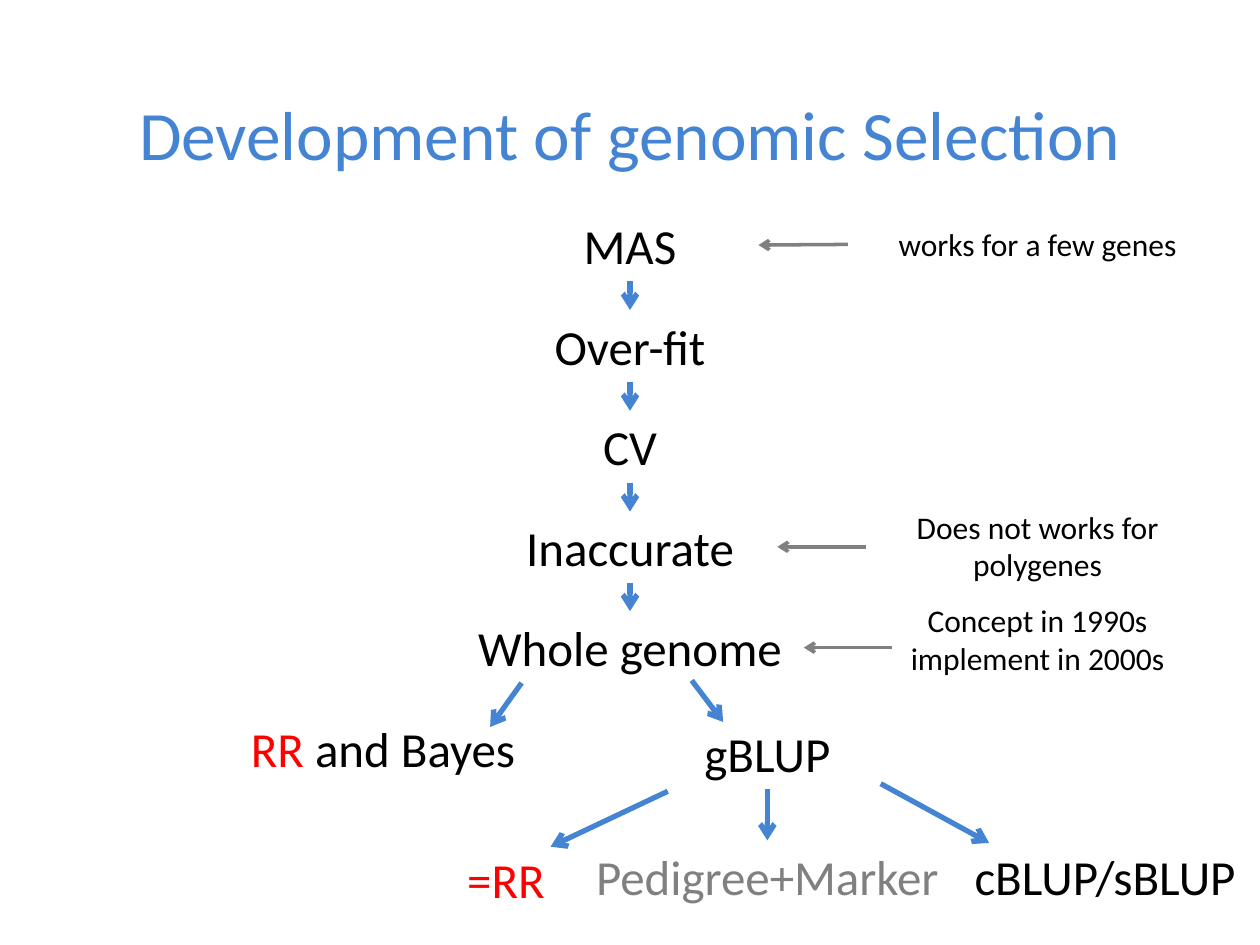
from typing import NamedTuple

from lxml.etree import SubElement
from pptx import Presentation
from pptx.dml.color import RGBColor as RGB
from pptx.enum.shapes import MSO_CONNECTOR as Connector
from pptx.enum.text import MSO_ANCHOR as Anchor, MSO_AUTO_SIZE as AutoSize, PP_ALIGN as Align
from pptx.oxml.ns import qn
from pptx.util import Inches, Pt

COLORS = {"blue": "4584D3", "black": "000000", "red": "FF0000", "gray": "808080"}
TOP, LEFT, BOTTOM, RIGHT = range(4)
STEP_SIZE, NOTE_SIZE = 28, 18
STEP_HEIGHT = 0.57


class Label(NamedTuple):
    runs: list[tuple[str, str]]  # wording and colour name
    left: float
    top: float
    width: float
    height: float = STEP_HEIGHT
    size: float = STEP_SIZE


class Arrow(NamedTuple):
    start: tuple[float, float]
    end: tuple[float, float]
    color: str = "blue"
    weight: float = 3


class Link(NamedTuple):
    source: str
    source_side: int
    target: str
    target_side: int
    color: str = "blue"
    weight: float = 3


def add_label(slide, label: Label, frame_format: dict):
    """Add centred text and return its box."""
    box = slide.shapes.add_textbox(*map(Inches, label[1:5]))
    for name, value in frame_format.items():
        setattr(box.text_frame, name, value)
    paragraph = box.text_frame.paragraphs[0]
    paragraph.alignment = Align.CENTER
    for wording, color in label.runs:
        run = paragraph.add_run()
        run.text = wording
        for name, value in {"name": "Calibri", "size": Pt(label.size)}.items():
            setattr(run.font, name, value)
        run.font.color.rgb = RGB.from_string(COLORS[color])
    return box


def add_arrow(slide, arrow: Arrow):
    """Add a straight line with an open arrowhead at its end."""
    line = slide.shapes.add_connector(
        Connector.STRAIGHT, *map(Inches, arrow.start + arrow.end))
    line.line.color.rgb = RGB.from_string(COLORS[arrow.color])
    line.line.width = Pt(arrow.weight)
    properties = line.element.spPr
    SubElement(properties.find(qn("a:ln")), qn("a:tailEnd"), type="arrow")
    SubElement(properties, qn("a:effectLst"))
    return line


def add_link(slide, link: Link, boxes: dict) -> None:
    """Join two labels with an arrow."""
    line = add_arrow(slide, Arrow((0, 0), (0, 0), link.color, link.weight))
    line.begin_connect(boxes[link.source], link.source_side)
    line.end_connect(boxes[link.target], link.target_side)


def step(wording: str, left: float, top: float, width: float, color: str = "black") -> Label:
    return Label([(wording, color)], left, top, width)


def note(wording: str, top: float, height: float) -> Label:
    return Label([(wording, "black")], 6.73, top, 3.01, height, NOTE_SIZE)


TITLE = Label([("Development of genomic Selection", "blue")], 0.5, 0.37, 9, 1.37, 39.6)

# Main sequence, one step every 0.8 inches
SEQUENCE = ["MAS", "Over-fit", "CV", "Inaccurate"]
SEQUENCE_TOP, SEQUENCE_PITCH = 1.66, 0.8

LABELS = {
    name: step(name, 3.98, SEQUENCE_TOP + row * SEQUENCE_PITCH, 2.04)
    for row, name in enumerate(SEQUENCE)
} | {
    "Whole genome": step("Whole genome", 3.55, 4.85, 2.9),
    # Branches
    "Bayes": Label([("RR", "red"), (" and Bayes", "black")], 1.59, 5.65, 2.9),
    "gBLUP": step("gBLUP", 4.64, 5.69, 2.9),
    "RR": step("=RR", 3.39, 6.69, 1.25, "red"),
    "Pedigree": step("Pedigree+Marker", 4.4, 6.67, 3.38, "gray"),
    "cBLUP": step("cBLUP/sBLUP", 7.54, 6.67, 2.46),
    # Side notes
    "few genes": note("works for a few genes", 1.74, 0.4),
    "polygenes": note("Does not works for polygenes", 3.98, 0.71),
    "concept": note("Concept in 1990s implement in 2000s", 4.72, 0.71),
}

CHAIN = [*SEQUENCE, "Whole genome"]
LINKS = [Link(upper, BOTTOM, lower, TOP) for upper, lower in zip(CHAIN, CHAIN[1:])] + [
    Link("gBLUP", BOTTOM, "Pedigree", TOP),
    Link("few genes", LEFT, "MAS", RIGHT, "gray", 2),
]

ARROWS = [
    # Whole genome to its two branches
    Arrow((4.14, 5.42), (3.89, 5.77)),
    Arrow((5.49, 5.4), (5.74, 5.73)),
    # gBLUP to its outer branches
    Arrow((5.3, 6.28), (4.37, 6.72)),
    Arrow((6.99, 6.22), (7.85, 6.69)),
    # Notes to steps
    Arrow((6.87, 4.34), (6.17, 4.34), "gray", 2),
    Arrow((7.08, 5.14), (6.38, 5.14), "gray", 2),
]


def main() -> None:
    deck = Presentation()
    deck.slide_width, deck.slide_height = Inches(10), Inches(7.5)
    slide = deck.slides.add_slide(deck.slide_layouts[6])

    # Title and labels
    add_label(slide, TITLE, {"word_wrap": True, "vertical_anchor": Anchor.MIDDLE})
    label_format = {"word_wrap": True, "auto_size": AutoSize.SHAPE_TO_FIT_TEXT}
    boxes = {name: add_label(slide, label, label_format) for name, label in LABELS.items()}

    # Arrows
    for link in LINKS:
        add_link(slide, link, boxes)
    for arrow in ARROWS:
        add_arrow(slide, arrow)

    deck.save("out.pptx")


if __name__ == "__main__":
    main()
